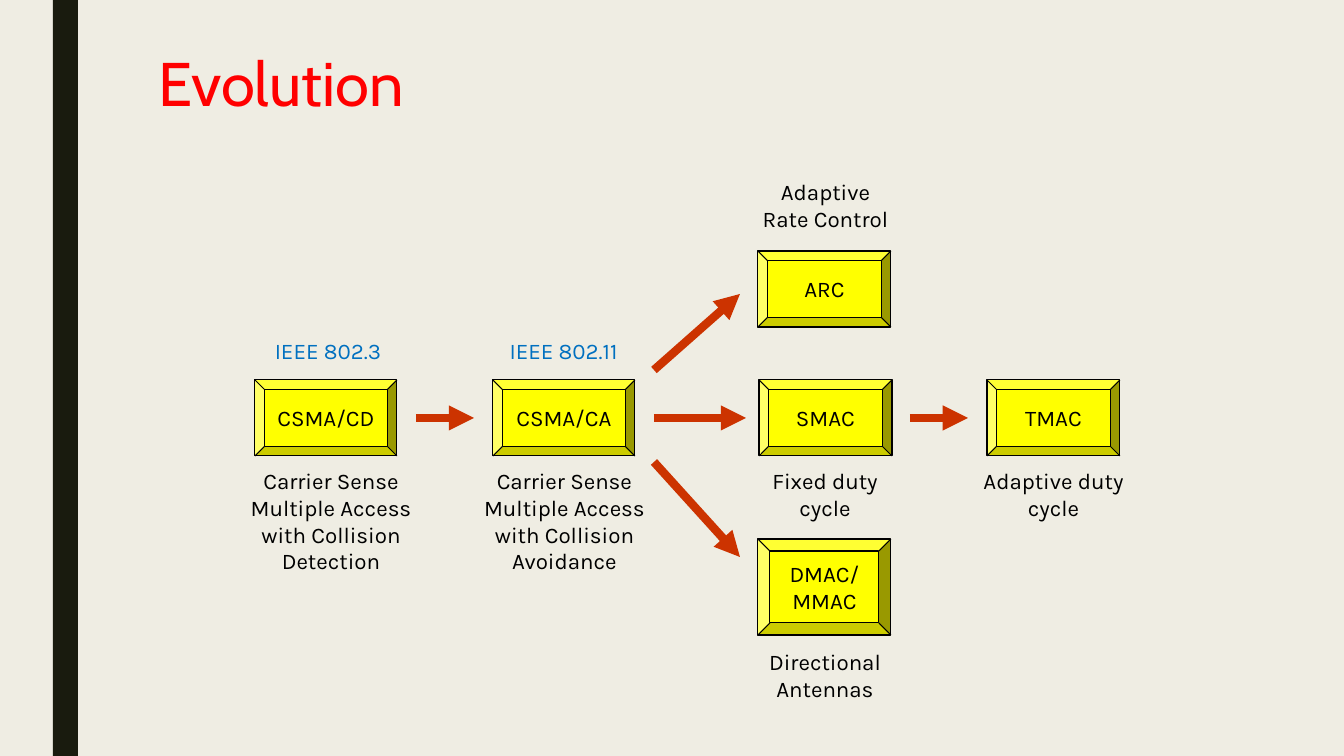
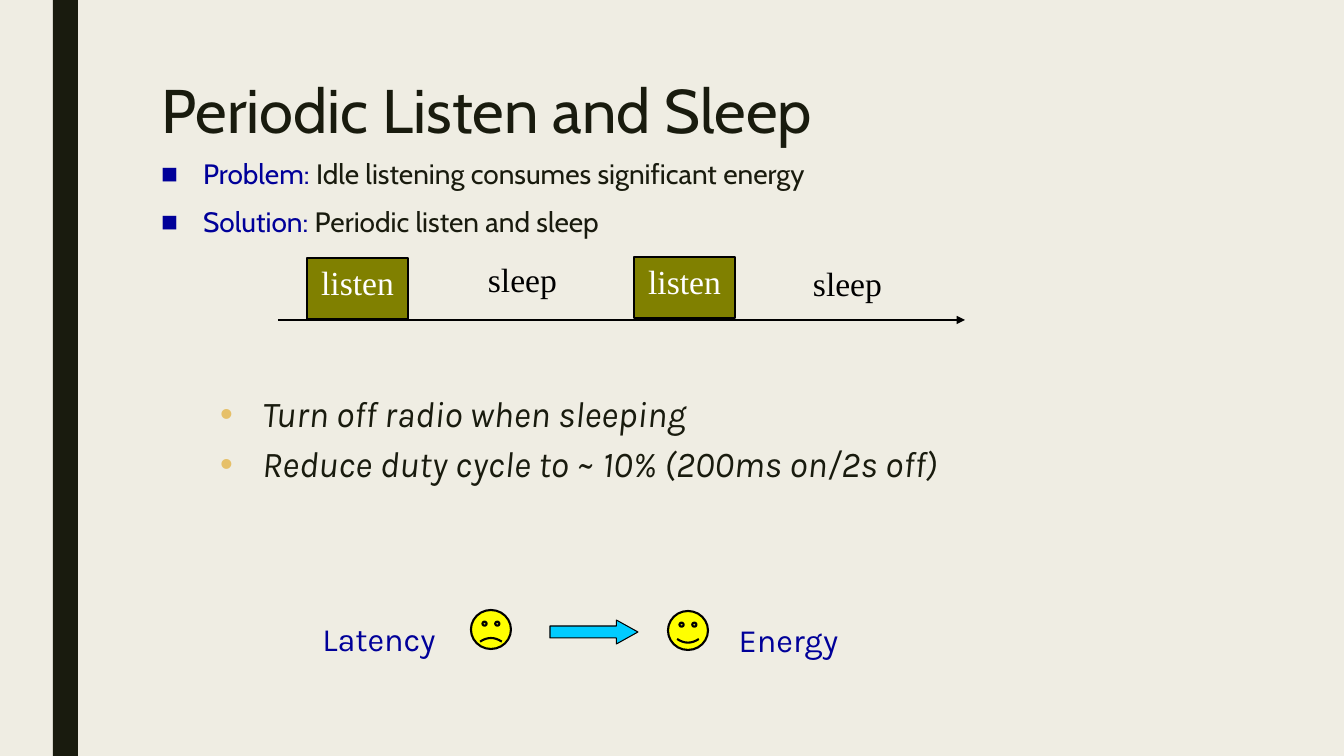
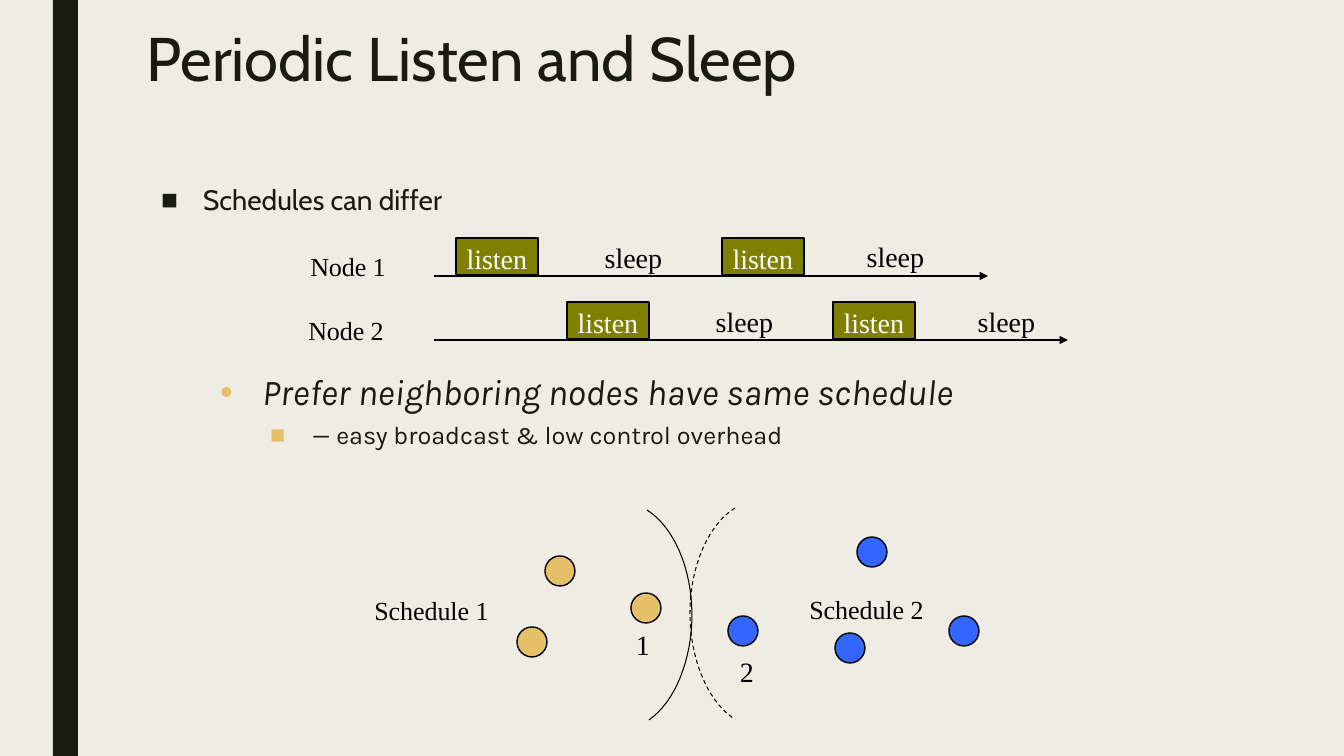
"""Build three slides on the evolution of MAC protocols and on listen and sleep cycles."""
from lxml.etree import SubElement as Sub
from pptx import Presentation
from pptx.dml.color import RGBColor as RGB
from pptx.enum.dml import MSO_LINE as Dash
from pptx.enum.shapes import MSO_CONNECTOR as Conn, MSO_SHAPE as Kind
from pptx.enum.text import MSO_ANCHOR as Anchor, MSO_AUTO_SIZE as Auto, PP_ALIGN as Align
from pptx.oxml.ns import qn
from pptx.util import Pt

HUE = {"paper": "EFEDE3", "ink": "191B0E", "black": "000000", "white": "FFFFFF",
       "red": "FF0000", "rust": "CC3300", "yellow": "FFFF00", "sky": "0070C0",
       "navy": "000099", "olive": "808000", "cyan": "00CCFF", "gold": "E6C069",
       "blue": "3366FF"}
HEAD, SANS, SERIF = "Cabin", "Karla", "Times New Roman"
WIDE, HIGH = 1344, 756
BAND = (53, 0, 25, HIGH)

KEYS = [("CSMA/CD", (255, 380, 142, 76)), ("CSMA/CA", (493, 380, 142, 76)),
        ("SMAC", (759, 380, 133, 76)), ("TMAC", (987, 380, 133, 76)),
        ("ARC", (758, 251, 133, 76)), ("DMAC/\nMMAC", (758, 539, 133, 96))]
NOTES = [("Adaptive Rate Control", (750, 173, 151, 65)),
         ("Carrier Sense Multiple Access with Collision Detection", (217, 462, 228, 92)),
         ("Carrier Sense Multiple Access with Collision Avoidance", (455, 462, 219, 92)),
         ("Fixed duty cycle", (749, 462, 152, 65)),
         ("Adaptive duty cycle", (968, 462, 171, 65)),
         ("Directional Antennas", (749, 643, 152, 65))]
NORMS = [("IEEE 802.3", (263, 332, 130, 37)), ("IEEE 802.11", (492, 332, 143, 37))]
STEPS = [(416, 418, 474, 418), (654, 418, 746, 418), (910, 418, 968, 418),
         (654, 370, 740, 294), (654, 462, 740, 557)]

LEVELS = [dict(mark="■", left=42, font=HEAD, size=20, slant=False, before=10),
          dict(mark="•", left=101, font=SANS, size=26, slant=True, before=5.2),
          dict(mark="■", left=151, font=SANS, size=18, slant=False, before=3.6)]
HANG = 42
GAP = 110
CYCLE = [(0, None, "navy", [("Problem:", "navy"), (" Idle listening consumes significant energy", "ink")]),
         (0, None, "navy", [("Solution:", "navy"), (" Periodic listen and sleep", "ink")]),
         (1, GAP, "gold", [("Turn off radio when sleeping", "ink")]),
         (1, None, "gold", [("Reduce duty cycle to ~ 10% (200ms on/2s off)", "ink")])]
DIFFER = [(0, None, "ink", [("Schedules can differ", "ink")]),
          (1, GAP, "gold", [("Prefer neighboring nodes have same schedule", "ink")]),
          (2, None, "gold", [("— easy broadcast & low control overhead", "ink")])]

LONG = [("listen", (307, 258, 101, 61)), ("sleep", (470, 255, 105, 59)),
        ("listen", (634, 257, 101, 61)), ("sleep", (795, 259, 105, 59))]
SHORT = [("listen", (456, 238, 82, 37)), ("sleep", (591, 237, 85, 35)),
         ("listen", (722, 238, 82, 37)), ("sleep", (853, 236, 85, 35))]
NODES = [("Node 1", (294, 233, 108, 55), 988), ("Node 2", (292, 297, 108, 55), 1068)]
SHIFT = (111, 64)
FACES = [((471, 610, 40, 39), -0.047), ((668, 611, 40, 39), 0.047)]
TRADE = [("Latency", (307, 609, 144, 50)), ("Energy", (721, 606, 135, 59))]

DOT = 30
DOTS = {"gold": [(545, 556), (517, 627), (631, 593)],
        "blue": [(949, 616), (857, 537), (728, 616), (835, 633)]}
PLANS = [("Schedule 1", (348, 566, 167, 45), Anchor.TOP),
         ("Schedule 2", (783, 581, 167, 45), Anchor.MIDDLE)]
MARKS = [("1", (626, 623, 34, 43)), ("2", (730, 650, 34, 43))]
REACH = [[(735, 508), (708, 525), (690, 567), (690, 613)],
         [(690, 613), (690, 658), (707, 700), (733, 718)]]
TIGHT, RAISED, LOOSE = (0, 4, 0, 1), (0, 23, 0, 0), (10, 5, 10, 5)


def px(n):
    return round(n * 914400 / 100.8)


def place(shape, box):
    shape.left, shape.top, shape.width, shape.height = map(px, box)


def rgb(name):
    return RGB.from_string(HUE[name])


def style(run, font, size, hue, slant=False):
    run.font.name, run.font.size, run.font.italic = font, Pt(size), slant
    run.font.color.rgb = rgb(hue)


def write(shape, words, font, size, hue, ins=LOOSE, anchor=Anchor.TOP, wrap=True, lift=False):
    frame = shape.text_frame
    frame.text = words
    frame.word_wrap, frame.vertical_anchor = wrap, anchor
    frame.margin_left, frame.margin_top, frame.margin_right, frame.margin_bottom = map(px, ins)
    for para in frame.paragraphs:
        para.alignment = Align.CENTER
        for run in para.runs:
            style(run, font, size, hue)
            if lift:
                run.font._element.set("baseline", "30000")


def label(slide, words, box, *look, **more):
    write(slide.shapes.add_textbox(*map(px, box)), words, *look, **more)


def draw(slide, kind, box, fill, line=None):
    shape = slide.shapes.add_shape(kind, *map(px, box))
    shape.shadow.inherit = False
    shape.fill.solid()
    shape.fill.fore_color.rgb = rgb(fill)
    if line:
        shape.line.color.rgb, shape.line.width = rgb("black"), Pt(line)
    else:
        shape.line.fill.background()
    return shape


def arrow(slide, ends, hue, width):
    link = slide.shapes.add_connector(Conn.STRAIGHT, *map(px, ends))
    link.line.color.rgb, link.line.width = rgb(hue), Pt(width)
    Sub(link.line._get_or_add_ln(), qn("a:tailEnd"), type="triangle")
    Sub(link.element.spPr, qn("a:effectLst"))


def start(layout, words, box, hue="ink"):
    slide = deck.slides.add_slide(deck.slide_layouts[layout])
    title = slide.shapes.title
    place(title, box)
    frame = title.text_frame
    frame.text = words
    frame.vertical_anchor, frame.auto_size = Anchor.TOP, Auto.NONE
    para = frame.paragraphs[0]
    para.alignment, para.line_spacing = Align.LEFT, 0.89
    style(para.runs[0], HEAD, 44, hue)
    return slide


def fill_body(slide, box, items):
    body = slide.placeholders[1]
    place(body, box)
    frame = body.text_frame
    frame.auto_size = Auto.NONE
    for i, (level, before, tint, parts) in enumerate(items):
        look = LEVELS[level]
        para = frame.add_paragraph() if i else frame.paragraphs[0]
        para.level, para.line_spacing = level, 0.92
        para.space_before, para.space_after = Pt(before or look["before"]), Pt(2)
        for words, hue in parts:
            run = para.add_run()
            run.text = words
            style(run, look["font"], look["size"], hue, look["slant"])
        props = para._p.get_or_add_pPr()
        props.set("marL", str(px(look["left"])))
        props.set("indent", str(-px(HANG)))
        Sub(Sub(props, qn("a:buClr")), qn("a:srgbClr"), val=HUE[tint])
        Sub(props, qn("a:buChar"), char=look["mark"])


def timeline(slide, axis, slots, size):
    arrow(slide, axis, "black", 1)
    for words, box in slots:
        if words == "listen":
            write(draw(slide, Kind.RECTANGLE, box, "olive", 1), words, SERIF, size, "white", TIGHT)
        else:
            label(slide, words, box, SERIF, size, "black", TIGHT)


def bend(curve, t):
    u = 1 - t
    return tuple(u**3 * a + 3 * u * u * t * b + 3 * u * t * t * c + t**3 * d
                 for a, b, c, d in zip(*curve))


def arc(slide, curves, dash=None):
    spots = [tuple(map(px, bend(curve, n / 16))) for curve in curves for n in range(17)]
    pen = slide.shapes.build_freeform(*spots[0])
    pen.add_line_segments(spots[1:], close=False)
    shape = pen.convert_to_shape()
    shape.shadow.inherit = False
    shape.fill.background()
    shape.line.color.rgb, shape.line.width = rgb("black"), Pt(0.75)
    if dash:
        shape.line.dash_style = dash


deck = Presentation()
deck.slide_width, deck.slide_height = px(WIDE), px(HIGH)
master = deck.slide_master
master.background.fill.solid()
master.background.fill.fore_color.rgb = rgb("paper")

slide = start(5, "Evolution", (148, 49, 1058, 79), "red")
band = draw(slide, Kind.RECTANGLE, BAND, "ink")
master.shapes.element.insert(2, band.element)
for ends in STEPS:
    arrow(slide, ends, "rust", 6)
for words, box in KEYS:
    key = draw(slide, Kind.BEVEL, box, "yellow", 0.75)
    write(key, words, SANS, 16, "black", anchor=Anchor.MIDDLE, wrap=False)
for words, box in NOTES:
    label(slide, words, box, SANS, 16, "black")
for words, box in NORMS:
    label(slide, words, box, SANS, 16, "sky", wrap=False)

slide = start(1, "Periodic Listen and Sleep", (151, 76, 1058, 163))
fill_body(slide, (151, 155, 1058, 492), CYCLE)
timeline(slide, (278, 320, 965, 320), LONG, 24)
for box, smile in FACES:
    draw(slide, Kind.SMILEY_FACE, box, "yellow", 1.5).adjustments[0] = smile
draw(slide, Kind.RIGHT_ARROW, (550, 620, 88, 24), "cyan", 0.75).adjustments[1] = 0.9
for words, box in TRADE:
    label(slide, words, box, SANS, 40, "navy", RAISED, Anchor.MIDDLE, lift=True)

slide = start(1, "Periodic Listen and Sleep", (136, 24, 1058, 86))
fill_body(slide, (151, 181, 1058, 466), DIFFER)
for row, (words, box, end) in enumerate(NODES):
    dx, dy = (row * step for step in SHIFT)
    label(slide, words, box, SERIF, 32, "black", RAISED, Anchor.MIDDLE, lift=True)
    slots = [(word, (x + dx, y + dy, w, h)) for word, (x, y, w, h) in SHORT]
    timeline(slide, (434, 276 + dy, end, 276 + dy), slots, 20)
arc(slide, REACH, Dash.DASH)
arc(slide, [[(1382 - x, y + 2) for x, y in curve] for curve in REACH])
for hue, spots in DOTS.items():
    for x, y in spots:
        draw(slide, Kind.OVAL, (x, y, DOT, DOT), hue, 1)
for words, box, anchor in PLANS:
    label(slide, words, box, SERIF, 32, "black", RAISED, anchor, lift=True)
for words, box in MARKS:
    label(slide, words, box, SERIF, 20, "black", wrap=False)

deck.save("out.pptx")
